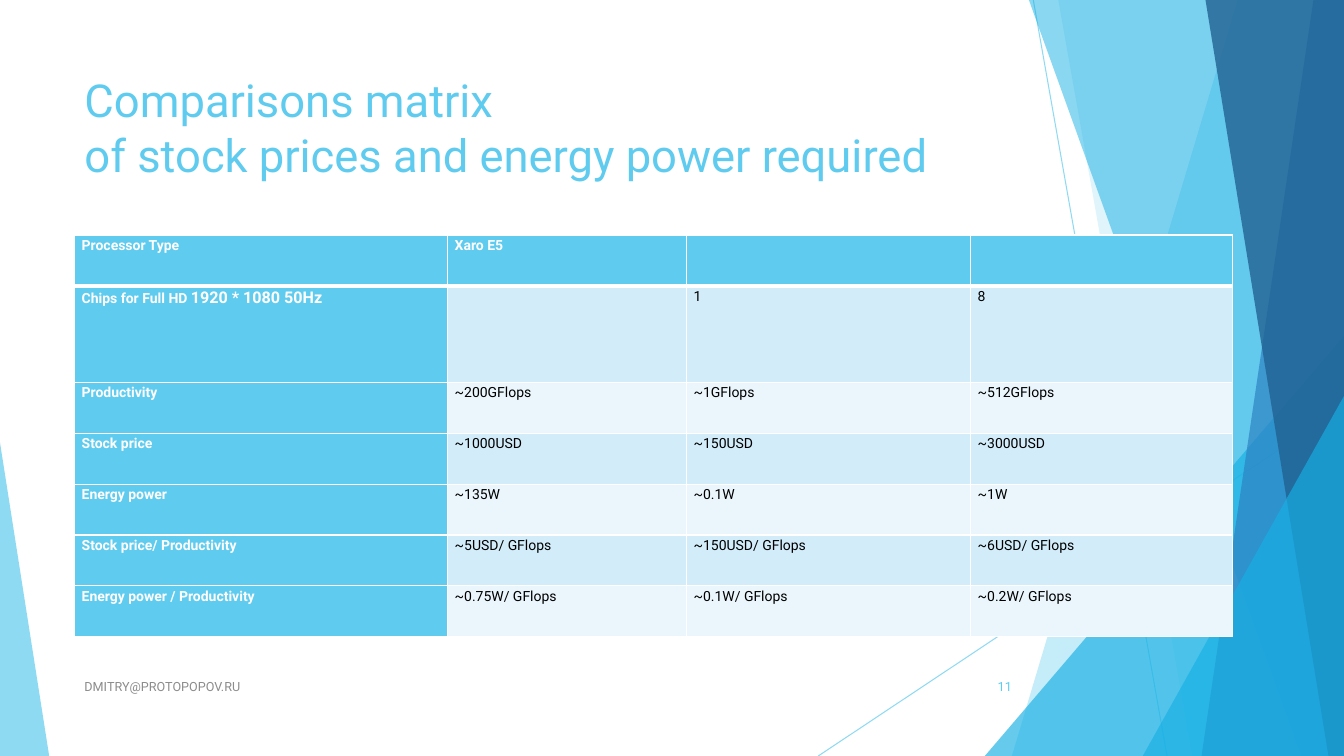
from dataclasses import dataclass

from lxml.etree import SubElement
from pptx import Presentation
from pptx.dml.color import RGBColor
from pptx.enum.shapes import MSO_CONNECTOR, MSO_SHAPE
from pptx.enum.text import MSO_ANCHOR, PP_ALIGN
from pptx.oxml.ns import qn
from pptx.util import Cm, Pt


@dataclass(frozen=True)
class Theme:
    font: str = "Roboto"
    sky: str = "5FCBEF"
    cyan: str = "17B0E4"
    blue: str = "2E83C3"
    navy: str = "226292"
    white: str = "FFFFFF"
    black: str = "000000"
    grey: str = "8C8C8C"
    bands: tuple = ("D2ECF9", "EAF6FC")
    title_size: float = 32.4
    cell_size: float = 10
    resolution_size: float = 11.5
    footer_size: float = 9
    hairline: float = 0.75
    border: float = 1
    header_border: float = 3


THEME = Theme()
WIDTH, HEIGHT = 33.87, 19.05  # all lengths are in centimetres

TITLE = "Comparisons matrix\vof stock prices and energy power required"
CONTACT = "DMITRY@PROTOPOPOV.RU"
PAGE = "11"

MATRIX = [
    ("Processor Type", "Xaro E5", "", ""),
    ([("Chips for Full HD ", THEME.cell_size),
      ("1920 * 1080 50Hz", THEME.resolution_size)], "", "1", "8"),
    ("Productivity", "~200GFlops", "~1GFlops", "~512GFlops"),
    ("Stock price", "~1000USD", "~150USD", "~3000USD"),
    ("Energy power", "~135W", "~0.1W", "~1W"),
    ("Stock price/ Productivity", "~5USD/ GFlops", "~150USD/ GFlops", "~6USD/ GFlops"),
    ("Energy power / Productivity", "~0.75W/ GFlops", "~0.1W/ GFlops", "~0.2W/ GFlops"),
]
COLUMN_WIDTHS = (9.4, 6.02, 7.16, 6.6)
ROW_HEIGHT, CHIPS_ROW_HEIGHT = 1.28, 2.44
LEFT, MATRIX_TOP = 1.88, 5.92
FOOTER_TOP, FOOTER_HEIGHT = 16.79, 1.02

RAYS = [((26.04, 0), (29.41, HEIGHT)), ((WIDTH, 10.24), (20.62, HEIGHT))]

# Back to front. A facet reaches the right edge: left x at the top, left x at the bottom.
# A wedge stands on the bottom edge: left, top, width, apex position.
BACKDROP = [
    ("facet", (31.19, 25.5), THEME.sky, 36),
    ("facet", (26.67, 30.05), THEME.sky, 20),
    ("wedge", (24.82, 8.46, 9.05, 1), THEME.cyan, 66),
    ("facet", (25.93, 32.79), THEME.cyan, 50),
    ("facet", (33.1, 30.28), THEME.blue, 70),
    ("facet", (30.38, 33.48), THEME.navy, 80),
    ("wedge", (28.8, 9.98, 5.07, 1), THEME.cyan, 66),
    ("wedge", (0, 11.15, 1.24, 0), THEME.sky, 70),
]


def paint(fill, color, opacity=100):
    fill.solid()
    fill.fore_color.rgb = RGBColor.from_string(color)
    if opacity < 100:
        for tint in fill._xPr.iter(qn("a:srgbClr")):
            SubElement(tint, qn("a:alpha"), val=str(opacity * 1000))


def write(frame, text, *, size, color, bold=False, align=PP_ALIGN.LEFT,
          line_spacing=None, space_before=None):
    """Fill a text frame with a string or with (string, size) runs."""
    paragraph = frame.paragraphs[0]
    paragraph.alignment = align
    paragraph.line_spacing = line_spacing
    paragraph.space_before = space_before
    pieces = [(text, size)] if isinstance(text, str) else text
    for words, points in pieces:
        for number, line in enumerate(words.split("\v")):
            if number:
                paragraph.add_line_break()
            run = paragraph.add_run()
            run.text = line
            run.font.name = THEME.font
            run.font.size = Pt(points)
            run.font.bold = bold
            run.font.color.rgb = RGBColor.from_string(color)


def add_label(slide, box, text, anchor=MSO_ANCHOR.MIDDLE, **text_format):
    frame = slide.shapes.add_textbox(*map(Cm, box)).text_frame
    frame.word_wrap = True
    frame.vertical_anchor = anchor
    write(frame, text, **text_format)


def add_ray(slide, start, end):
    ray = slide.shapes.add_connector(MSO_CONNECTOR.STRAIGHT, *map(Cm, start + end))
    ray.line.width = Pt(THEME.hairline)
    paint(ray.line.fill, THEME.sky, 70)
    SubElement(ray._element.spPr, qn("a:effectLst"))


def add_facet(slide, top_x, bottom_x):
    corners = [(WIDTH, 0), (WIDTH, HEIGHT), (bottom_x, HEIGHT)]
    outline = slide.shapes.build_freeform(Cm(top_x), 0)
    outline.add_line_segments([(Cm(x), Cm(y)) for x, y in corners])
    return outline.convert_to_shape()


def add_wedge(slide, left, top, width, apex):
    wedge = slide.shapes.add_shape(
        MSO_SHAPE.ISOSCELES_TRIANGLE, Cm(left), Cm(top), Cm(width), Cm(HEIGHT - top))
    wedge.adjustments[0] = apex
    return wedge


def add_backdrop(slide):
    for start, end in RAYS:
        add_ray(slide, start, end)
    builders = {"facet": add_facet, "wedge": add_wedge}
    for kind, geometry, color, opacity in BACKDROP:
        piece = builders[kind](slide, *geometry)
        paint(piece.fill, color, opacity)
        piece.line.fill.background()
        piece.shadow.inherit = False


def set_borders(cell, top, bottom):
    properties = cell._tc.get_or_add_tcPr()
    widths = {"L": THEME.border, "R": THEME.border, "T": top, "B": bottom}
    for side, points in widths.items():
        border = SubElement(properties, qn(f"a:ln{side}"), w=str(Pt(points)))
        SubElement(SubElement(border, qn("a:solidFill")), qn("a:srgbClr"), val=THEME.white)


def add_matrix(slide):
    heights = [ROW_HEIGHT] * len(MATRIX)
    heights[1] = CHIPS_ROW_HEIGHT
    matrix = slide.shapes.add_table(
        len(MATRIX), len(COLUMN_WIDTHS), Cm(LEFT), Cm(MATRIX_TOP),
        Cm(sum(COLUMN_WIDTHS)), Cm(sum(heights))).table
    for column, width in zip(matrix.columns, COLUMN_WIDTHS):
        column.width = Cm(width)
    for r, (entries, height) in enumerate(zip(MATRIX, heights)):
        matrix.rows[r].height = Cm(height)
        for c, entry in enumerate(entries):
            cell = matrix.cell(r, c)
            heading = r == 0 or c == 0
            cell.margin_left = cell.margin_right = Cm(0.18)
            cell.margin_top = cell.margin_bottom = 0
            set_borders(cell,
                        top=THEME.header_border if r == 1 else THEME.border,
                        bottom=THEME.header_border if r == 0 else THEME.border)
            paint(cell.fill, THEME.sky if heading else THEME.bands[(r - 1) % 2])
            if entry:
                write(cell.text_frame, entry, size=THEME.cell_size, bold=heading,
                      color=THEME.white if heading else THEME.black,
                      align=PP_ALIGN.JUSTIFY, line_spacing=1.15, space_before=Pt(5))


def main():
    deck = Presentation()
    deck.slide_width, deck.slide_height = Cm(WIDTH), Cm(HEIGHT)
    slide = deck.slides.add_slide(deck.slide_layouts[6])
    add_backdrop(slide)
    add_label(slide, (LEFT, 1.7, 23.88, 3.66), TITLE, anchor=MSO_ANCHOR.TOP,
              size=THEME.title_size, color=THEME.sky)
    add_matrix(slide)
    add_label(slide, (LEFT, FOOTER_TOP, 17.5, FOOTER_HEIGHT), CONTACT,
              size=THEME.footer_size, color=THEME.grey)
    add_label(slide, (23.85, FOOTER_TOP, 1.9, FOOTER_HEIGHT), PAGE,
              size=THEME.footer_size, color=THEME.sky, align=PP_ALIGN.RIGHT)
    deck.save("out.pptx")


if __name__ == "__main__":
    main()
